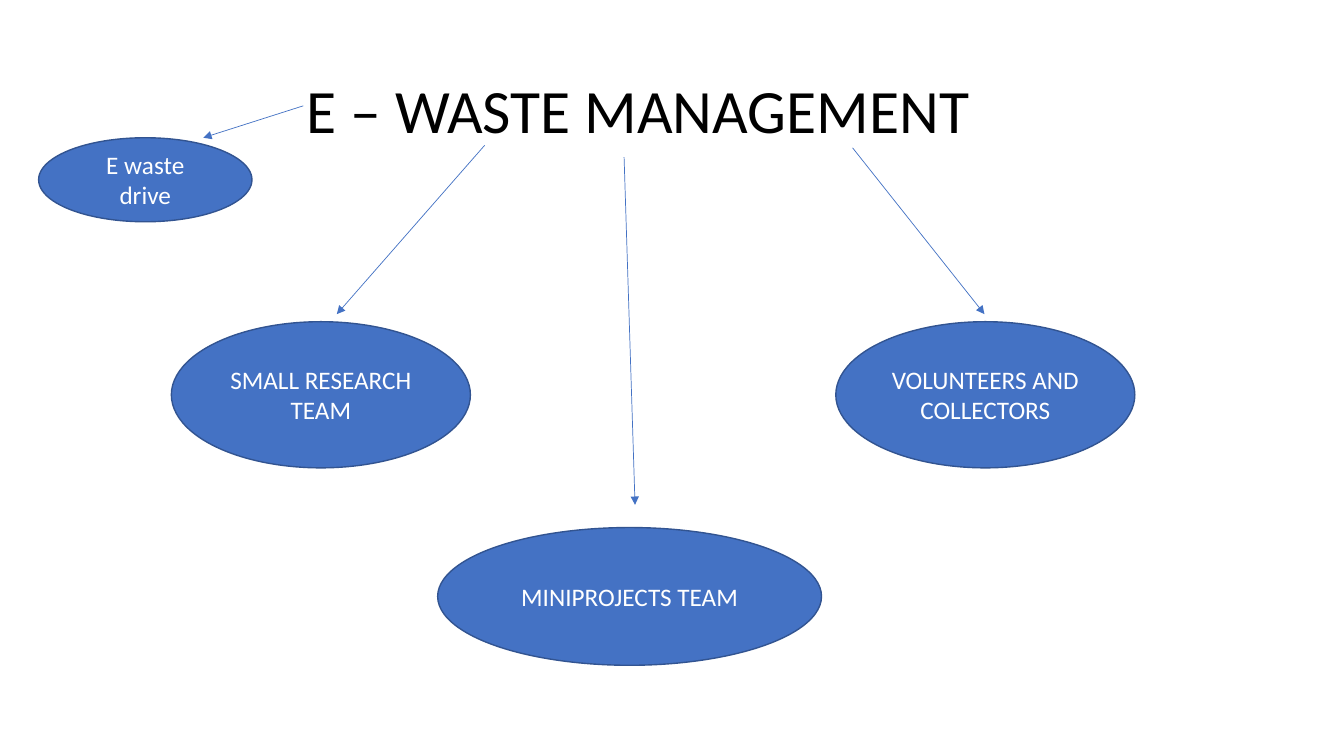
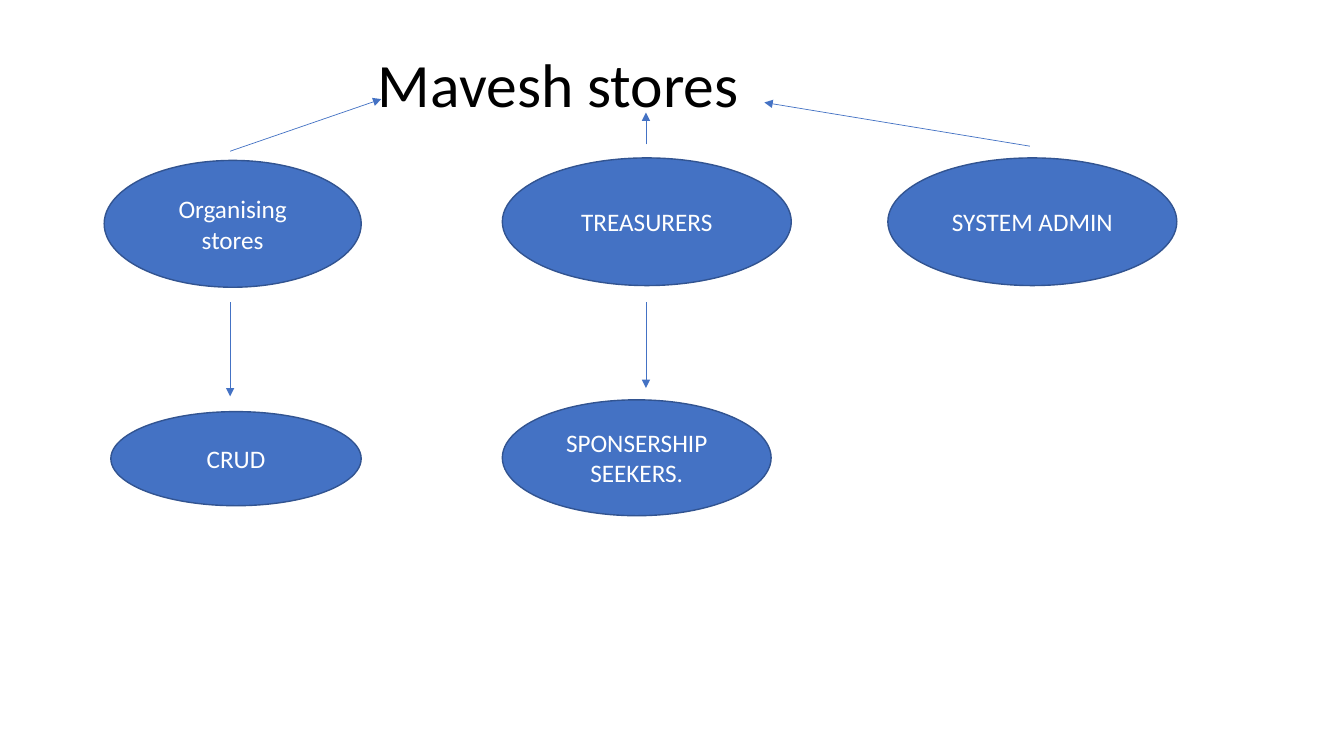
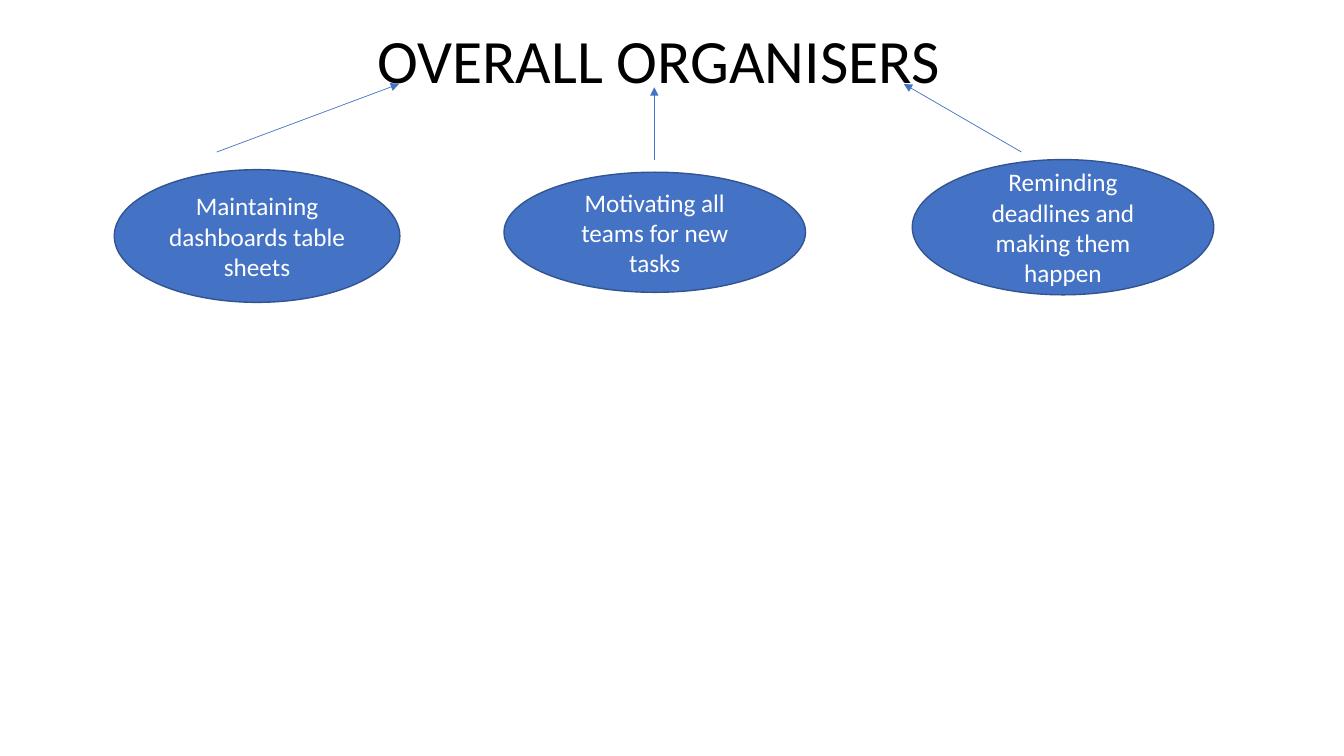
from dataclasses import dataclass
from typing import NamedTuple

from lxml import etree
from pptx import Presentation, util as u
from pptx.dml import color
from pptx.enum import shapes, text
from pptx.oxml import ns


@dataclass(frozen=True)
class Theme:
    font: str = "Calibri"
    title_size: int = 44
    label_size: int = 18
    title_color: str = "000000"
    label_color: str = "FFFFFF"
    fill: str = "4472C4"
    outline: str = "325491"
    arrow: str = "4472C4"
    outline_width: float = 1
    arrow_width: float = 0.5


THEME = Theme()
CELL = u.Inches(1) / 6  # the grid has 80 columns and 45 rows
COLUMNS, ROWS = 80, 45
TITLE_ONLY = 5


class Title(NamedTuple):
    words: str
    left: float
    top: float
    width: float
    height: float
    text_start: float


class Bubble(NamedTuple):
    words: str
    left: float
    top: float
    width: float
    height: float


class Arrow(NamedTuple):
    from_column: float
    from_row: float
    to_column: float
    to_row: float


class Diagram(NamedTuple):
    title: Title
    bubbles: list[Bubble]
    arrows: list[Arrow]


def cells(count: float) -> u.Emu:
    return u.Emu(round(count * CELL))


def rgb(code: str) -> color.RGBColor:
    return color.RGBColor.from_string(code)


def write(frame, words: str, *, size: int, ink: str, align, spacing: float = 1.0) -> None:
    frame.word_wrap = True
    frame.auto_size = text.MSO_AUTO_SIZE.NONE
    frame.vertical_anchor = text.MSO_ANCHOR.MIDDLE
    para = frame.paragraphs[0]
    para.alignment = align
    para.line_spacing = spacing
    span = para.add_run()
    span.text = words
    span.font.name = THEME.font
    span.font.size = u.Pt(size)
    span.font.color.rgb = rgb(ink)


def draw_title(page, title: Title) -> None:
    box = page.shapes.title
    box.left, box.top = cells(title.left), cells(title.top)
    box.width, box.height = cells(title.width), cells(title.height)
    box.text_frame.margin_left = cells(title.text_start - title.left)
    write(box.text_frame, title.words, size=THEME.title_size, ink=THEME.title_color,
          align=text.PP_ALIGN.LEFT, spacing=0.9)


def draw_bubble(page, bubble: Bubble) -> None:
    place = [cells(length) for length in bubble[1:]]
    oval = page.shapes.add_shape(shapes.MSO_SHAPE.OVAL, *place)
    oval.shadow.inherit = False
    oval.fill.solid()
    oval.fill.fore_color.rgb = rgb(THEME.fill)
    oval.line.color.rgb = rgb(THEME.outline)
    oval.line.width = u.Pt(THEME.outline_width)
    write(oval.text_frame, bubble.words, size=THEME.label_size, ink=THEME.label_color,
          align=text.PP_ALIGN.CENTER)


def draw_arrow(page, arrow: Arrow) -> None:
    ends = [cells(length) for length in arrow]
    line = page.shapes.add_connector(shapes.MSO_CONNECTOR.STRAIGHT, *ends)
    line.line.color.rgb = rgb(THEME.arrow)
    line.line.width = u.Pt(THEME.arrow_width)
    # Arrowhead, and no shadow
    properties = line.element.spPr
    stroke = properties.find(ns.qn("a:ln"))
    etree.SubElement(stroke, ns.qn("a:tailEnd"), type="triangle")
    etree.SubElement(properties, ns.qn("a:effectLst"))


def draw_diagram(deck, diagram: Diagram) -> None:
    page = deck.slides.add_slide(deck.slide_layouts[TITLE_ONLY])
    draw_title(page, diagram.title)
    for bubble in diagram.bubbles:
        draw_bubble(page, bubble)
    for arrow in diagram.arrows:
        draw_arrow(page, arrow)


# Teams of the e-waste project
e_waste = Diagram(
    Title("E – WASTE MANAGEMENT", 5.5, 2.4, 69, 8.7, text_start=18.25),
    [
        Bubble("SMALL RESEARCH TEAM", 10.2, 19.15, 17.8, 8.7),
        Bubble("VOLUNTEERS AND COLLECTORS", 49.75, 19.15, 17.8, 8.7),
        Bubble("MINIPROJECTS TEAM", 26.05, 31.4, 22.85, 8.2),
        Bubble("E waste drive", 2.3, 8.2, 12.7, 5),
    ],
    [
        Arrow(28.85, 8.65, 20.05, 18.7),
        Arrow(50.75, 8.8, 58.6, 18.7),
        Arrow(37.15, 9.35, 37.8, 30.05),
        Arrow(18.05, 6.3, 12.1, 8.2),
    ],
)

# Roles in the stores
ORGANISING, TREASURY = 13.7, 38.45  # columns of the upright arrows
stores = Diagram(
    Title("Mavesh stores", 5.5, 0.85, 69, 8.7, text_start=22.5),
    [
        Bubble("Organising stores", 6.2, 9.55, 15.3, 7.55),
        Bubble("CRUD", 6.6, 24.5, 14.9, 5.6),
        Bubble("TREASURERS", 29.9, 9.4, 17.2, 7.6),
        Bubble("SYSTEM ADMIN", 52.85, 9.4, 17.2, 7.6),
        Bubble("SPONSERSHIP SEEKERS.", 29.9, 23.8, 16, 6.9),
    ],
    [
        Arrow(ORGANISING, 18, ORGANISING, 23.6),
        Arrow(TREASURY, 18, TREASURY, 23.1),
        Arrow(ORGANISING, 9, 22.7, 5.9),
        Arrow(61.3, 8.7, 45.5, 6.1),
        Arrow(TREASURY, 8.6, TREASURY, 6.7),
    ],
)

# Duties of the organisers
organisers = Diagram(
    Title("OVERALL ORGANISERS", 8.75, 1.25, 65, 5.05, text_start=22.45),
    [
        Bubble("Maintaining dashboards table sheets", 6.8, 10.1, 17, 7.9),
        Bubble("Motivating all teams for new tasks", 30, 10.25, 17.95, 7.15),
        Bubble("Reminding deadlines and making them happen", 54.3, 9.5, 17.95, 8.05),
    ],
    [
        Arrow(12.9, 9.05, 23.75, 5),
        Arrow(38.95, 9.5, 38.95, 5.2),
        Arrow(60.8, 9.05, 53.8, 5),
    ],
)

deck = Presentation()
deck.slide_width, deck.slide_height = cells(COLUMNS), cells(ROWS)
for diagram in (e_waste, stores, organisers):
    draw_diagram(deck, diagram)
deck.save("out.pptx")
